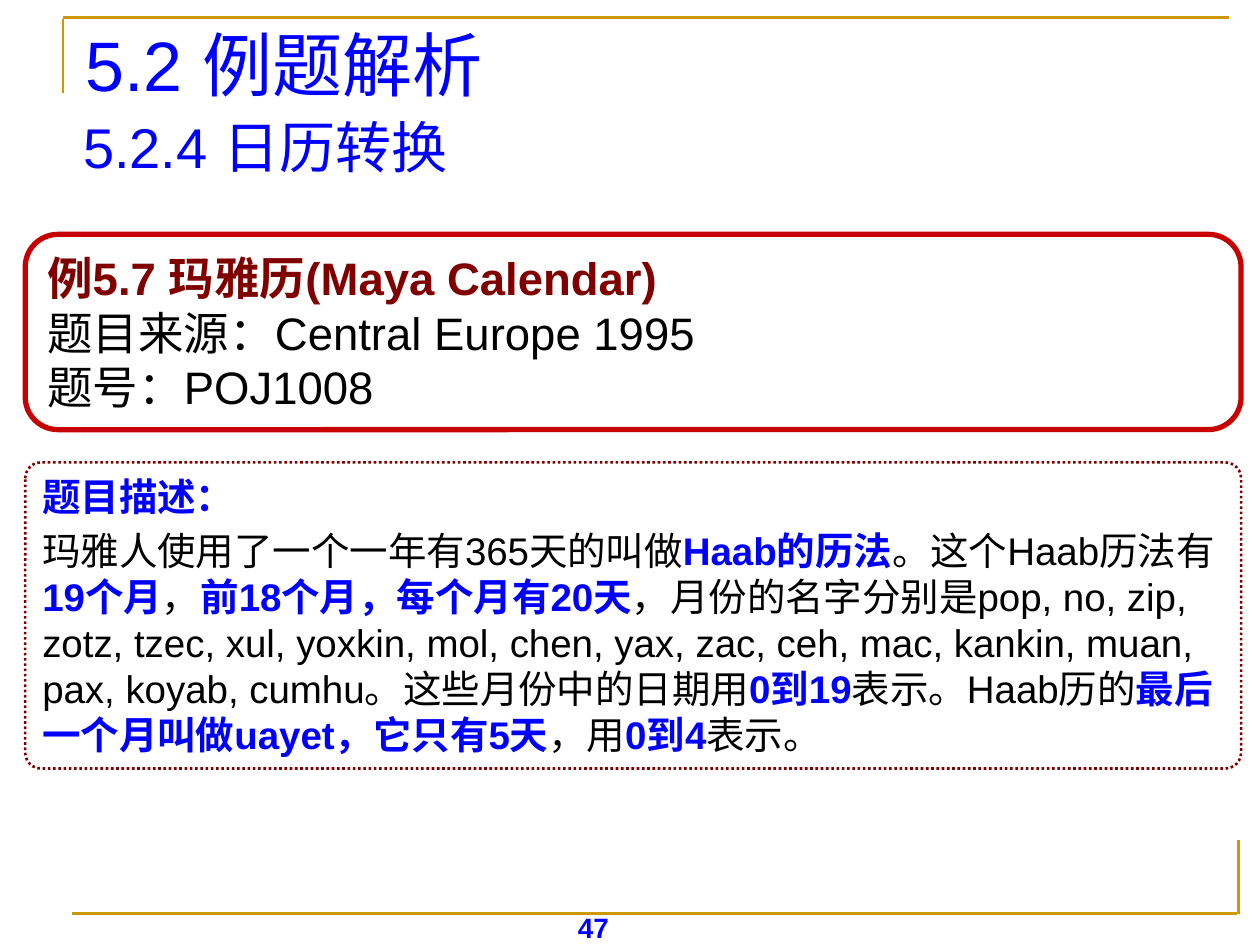
from lxml import etree
from pptx import Presentation
from pptx.dml.color import RGBColor
from pptx.enum.dml import MSO_LINE
from pptx.enum.shapes import MSO_CONNECTOR, MSO_SHAPE
from pptx.enum.text import MSO_ANCHOR, MSO_AUTO_SIZE, PP_ALIGN
from pptx.oxml.ns import qn
from pptx.util import Inches, Pt

LEFT, CENTER = PP_ALIGN.LEFT, PP_ALIGN.CENTER
TOP, MIDDLE = MSO_ANCHOR.TOP, MSO_ANCHOR.MIDDLE
BLUE, BLACK, MAROON, RED, GOLD, WHITE = (
    "0000FF", "000000", "800000", "C80000", "CC9900", "FFFFFF")

# Content: each paragraph is a list of (text, colour, bold)
TITLE = [[("5.2 例题解析", BLUE, False)]]
SUBTITLE = [[("5.2.4 日历转换", BLUE, False)]]
PAGE_NUMBER = [[("47", BLUE, True)]]
EXAMPLE = [
    [("例5.7 玛雅历(Maya Calendar)", MAROON, True)],
    [("题目来源：Central Europe 1995", BLACK, False)],
    [("题号：POJ1008", BLACK, False)],
]
# Plain and highlighted spans alternate, starting with a plain one
STORY = [
    "玛雅人使用了一个一年有365天的叫做", "Haab的历法",
    "。这个Haab历法有", "19个月",
    "，", "前18个月，每个月有20天",
    "，月份的名字分别是pop, no, zip, zotz, tzec, xul, yoxkin, mol, chen, yax, "
    "zac, ceh, mac, kankin, muan, pax, koyab, cumhu。这些月份中的日期用", "0到19",
    "表示。Haab历的", "最后一个月叫做uayet，它只有5天",
    "，用", "0到4",
    "表示。",
]
DESCRIPTION = [
    [("题目描述：", BLUE, True)],
    [(text, BLUE if i % 2 else BLACK, bool(i % 2)) for i, text in enumerate(STORY)],
]
FRAME_LINES = [
    (0.5, 0.15, 0.5, 0.74),
    (0.5, 0.14, 9.75, 0.14),
    (9.83, 6.67, 9.83, 7.25),
    (0.57, 7.25, 9.82, 7.25),
]
# top, height, corner, line colour, line width, dash, size, space after, text
PANELS = [
    (3.67, 2.43, 0.052, MAROON, 1.5, MSO_LINE.ROUND_DOT, 22, 4.1, DESCRIPTION),
    (1.86, 1.55, 0.167, RED, 3, MSO_LINE.SOLID, 26, 0, EXAMPLE),
]


def color(value):
    return RGBColor.from_string(value)


def place(shape, left, top, width, height):
    shape.left, shape.top = Inches(left), Inches(top)
    shape.width, shape.height = Inches(width), Inches(height)


def write(shape, paragraphs, size, align=LEFT, anchor=TOP, after=0):
    frame = shape.text_frame
    frame.word_wrap = True
    frame.auto_size = MSO_AUTO_SIZE.NONE
    frame.vertical_anchor = anchor
    for i, spans in enumerate(paragraphs):
        para = frame.paragraphs[0] if i == 0 else frame.add_paragraph()
        para.alignment = align
        para.space_before, para.space_after = Pt(0), Pt(after)
        for text, shade, bold in spans:
            span = para.add_run()
            span.text = text
            span.font.name = "Arial"
            span.font.size = Pt(size)
            span.font.bold = bold
            span.font.color.rgb = color(shade)


deck = Presentation()
deck.slide_width, deck.slide_height = Inches(10), Inches(7.5)
page = deck.slides.add_slide(deck.slide_layouts[1])

# Gold frame lines
for x1, y1, x2, y2 in FRAME_LINES:
    line = page.shapes.add_connector(
        MSO_CONNECTOR.STRAIGHT, Inches(x1), Inches(y1), Inches(x2), Inches(y2))
    line.line.color.rgb = color(GOLD)
    line.line.width = Pt(1.5)
    etree.SubElement(line._element.spPr, qn("a:effectLst"))

# Page number
number = page.shapes.add_textbox(
    Inches(3.67), Inches(7.18), Inches(2.08), Inches(0.25))
write(number, PAGE_NUMBER, 16, CENTER)

# Title and section heading
title, body = page.shapes.title, page.placeholders[1]
place(title, 0.58, 0.17, 9.08, 0.67)
write(title, TITLE, 40, anchor=MIDDLE)
place(body, 0.56, 0.84, 9.11, 6.46)
properties = body.text_frame.paragraphs[0]._p.get_or_add_pPr()
properties.set("marL", "0")
properties.set("indent", "0")
etree.SubElement(properties, qn("a:buNone"))
write(body, SUBTITLE, 32)

# Rounded panels
for top, height, corner, edge, width, dash, size, after, text in PANELS:
    panel = page.shapes.add_shape(
        MSO_SHAPE.ROUNDED_RECTANGLE,
        Inches(0.2), Inches(top), Inches(9.65), Inches(height))
    panel.adjustments[0] = corner
    panel.shadow.inherit = False
    panel.fill.solid()
    panel.fill.fore_color.rgb = color(WHITE)
    panel.line.color.rgb = color(edge)
    panel.line.width = Pt(width)
    panel.line.dash_style = dash
    write(panel, text, size, anchor=MIDDLE, after=after)

deck.save("out.pptx")
